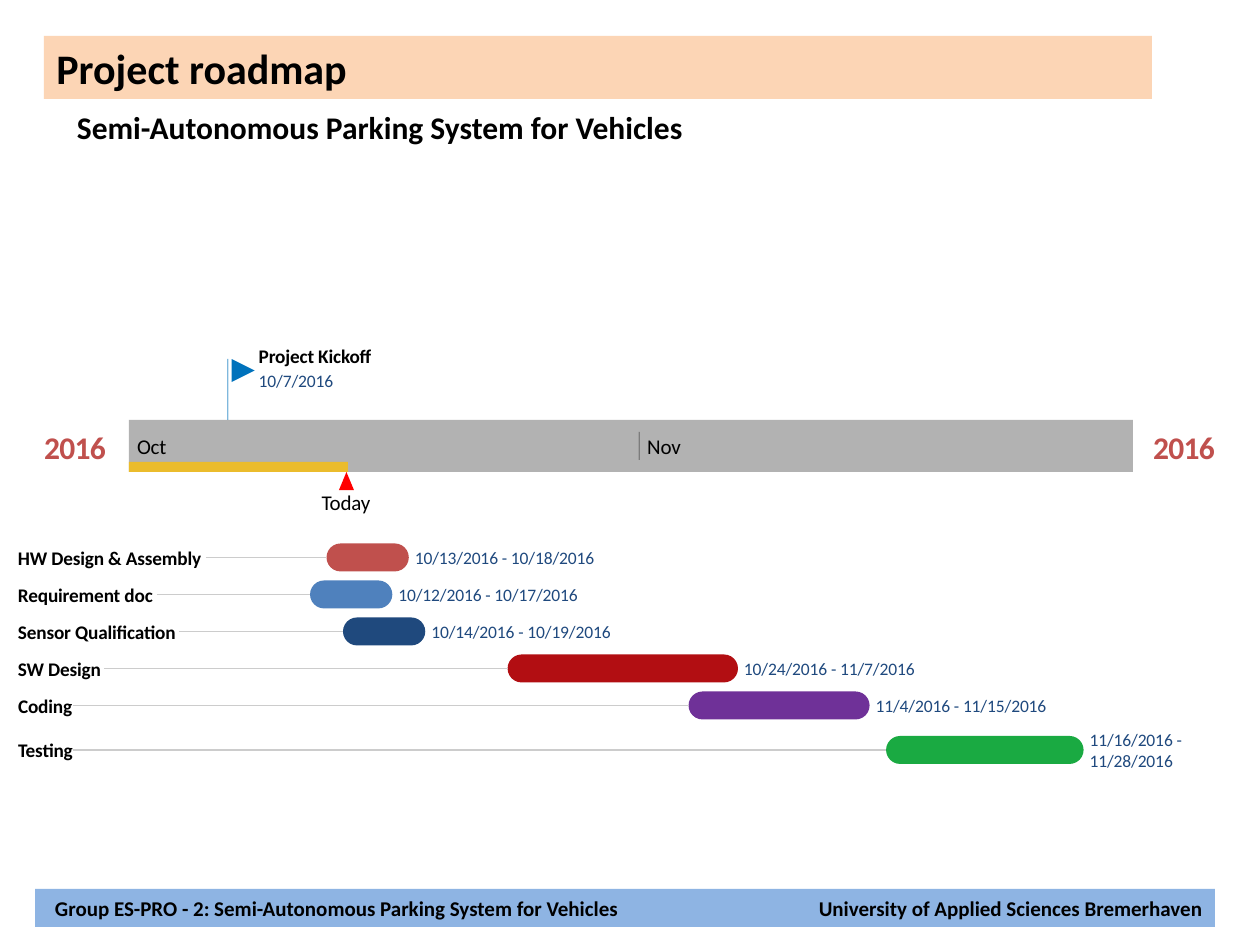
from dataclasses import dataclass
from pptx import Presentation
from pptx.dml.color import RGBColor
from pptx.enum.shapes import MSO_CONNECTOR, MSO_SHAPE
from pptx.enum.text import MSO_ANCHOR, PP_ALIGN
from pptx.oxml.ns import qn
from pptx.util import Emu, Pt
from lxml.etree import SubElement


@dataclass(frozen=True)
class Style:
    size: int
    color: str
    bold: bool = False
    tracking: int = 0


class Theme:
    font = "Calibri"
    title = Style(24, "000000", True)
    subtitle = Style(18, "000000", True)
    footer = Style(12, "000000", True)
    year = Style(18, "C0504D", True, -40)
    month = Style(12, "000000", tracking=-10)
    label = Style(11, "000000", True, -10)
    date = Style(10, "1F497E", tracking=-5)
    title_band, footer_band = "FCD5B5", "8EB4E3"
    axis, elapsed, today, flag = "B2B2B2", "FFC000", "FF0000", "0072BC"
    leader, tick = "CCCCCC", "000000"


TITLE = "Project roadmap"
SUBTITLE = "Semi-Autonomous Parking System for Vehicles"
GROUP = "Group ES-PRO - 2: Semi-Autonomous Parking System for Vehicles"
SCHOOL = "University of Applied Sciences Bremerhaven"
MONTHS = [("Oct", "10/1/2016"), ("Nov", "11/1/2016")]
KICKOFF = ("Project Kickoff", "10/7/2016")
TASKS = [
    ("HW Design & Assembly", 188, "10/13/2016", "10/18/2016", "C0504D", 1),
    ("Requirement doc", 139, "10/12/2016", "10/17/2016", "4F81BD", 1),
    ("Sensor Qualification", 161, "10/14/2016", "10/19/2016", "1F497D", 1),
    ("SW Design", 86, "10/24/2016", "11/7/2016", "B20E12", 1),
    ("Coding", 55, "11/4/2016", "11/15/2016", "6F3198", 1),
    ("Testing", 55, "11/16/2016", "11/28/2016", "1AAA42", 2),
]
MONTH_START = {10: 0, 11: 31}
TOTAL_DAYS = 61
AXIS_LEFT, AXIS_TOP, AXIS_WIDTH, AXIS_HEIGHT = 129, 420, 1004, 52
ELAPSED_WIDTH = 219
ROWS_TOP = 539
ROW_HEIGHT = {1: 37, 2: 52}
DATE_BOX = {1: (184, 22), 2: (98, 42)}
LABEL_LEFT, LABEL_HEIGHT, BAR_HEIGHT, GAP = 18, 24, 28, 6


def px(value):
    return Emu(round(value * 914400 / 126))


def day_x(date):
    month, day, _ = map(int, date.split("/"))
    return AXIS_LEFT + (MONTH_START[month] + day - 1) * AXIS_WIDTH / TOTAL_DAYS


def fade(item, percent):
    color = item._element.spPr.find(".//" + qn("a:srgbClr"))
    SubElement(color, qn("a:alpha")).set("val", str(percent * 1000))


def write(box, text, style, align=PP_ALIGN.LEFT):
    frame = box.text_frame
    frame.vertical_anchor = MSO_ANCHOR.MIDDLE
    para = frame.paragraphs[0]
    para.text = text
    para.alignment = align
    font = para.font
    font.name, font.size, font.bold = Theme.font, Pt(style.size), style.bold
    font.color.rgb = RGBColor.from_string(style.color)
    para._p.get_or_add_pPr().get_or_add_defRPr().set("spc", str(style.tracking))


def add_text(page, text, style, left, top, width, height,
             align=PP_ALIGN.LEFT, wrap=True, inset=(0, 0)):
    box = page.shapes.add_textbox(px(left), px(top), px(width), px(height))
    frame = box.text_frame
    frame.word_wrap = wrap
    frame.margin_left = frame.margin_right = px(inset[0])
    frame.margin_top = frame.margin_bottom = px(inset[1])
    write(box, text, style, align)
    return box


def add_block(page, kind, color, left, top, width, height):
    block = page.shapes.add_shape(kind, px(left), px(top), px(width), px(height))
    block.shadow.inherit = False
    block.fill.solid()
    block.fill.fore_color.rgb = RGBColor.from_string(color)
    block.line.fill.background()
    return block


def add_line(page, color, width, start=(0, 0), end=(0, 0)):
    line = page.shapes.add_connector(
        MSO_CONNECTOR.STRAIGHT, *map(px, (*start, *end)))
    line.line.color.rgb = RGBColor.from_string(color)
    line.line.width = Pt(width)
    SubElement(line._element.spPr, qn("a:effectLst"))
    return line


def add_axis(page):
    for left in (44, 1153):
        add_text(page, "2016", Theme.year, left, 427, 62, 39, PP_ALIGN.CENTER, False)
    add_block(page, MSO_SHAPE.RECTANGLE, Theme.axis,
              AXIS_LEFT, AXIS_TOP, AXIS_WIDTH, AXIS_HEIGHT)
    bottom = AXIS_TOP + AXIS_HEIGHT
    elapsed = add_block(page, MSO_SHAPE.RECTANGLE, Theme.elapsed,
                        AXIS_LEFT, bottom - 10, ELAPSED_WIDTH, 10)
    fade(elapsed, 75)
    today = AXIS_LEFT + ELAPSED_WIDTH - 1
    add_block(page, MSO_SHAPE.ISOSCELES_TRIANGLE, Theme.today, today - 8, bottom, 15, 18)
    add_text(page, "Today", Theme.month, today - 26, 490, 50, 25, PP_ALIGN.CENTER, False)
    for index, (name, first) in enumerate(MONTHS):
        left = day_x(first)
        if index:
            fade(add_line(page, Theme.tick, 0.75, (left, 432), (left, 460)), 30)
        add_text(page, name, Theme.month, left + 8, 434, 34, 25, wrap=False)


def add_kickoff(page):
    name, date = KICKOFF
    left = day_x(date)
    fade(add_line(page, Theme.flag, 0.6, (left, 359), (left, AXIS_TOP)), 50)
    flag = add_block(page, MSO_SHAPE.FLOWCHART_MERGE, Theme.flag, left + 4, 359, 23, 23)
    flag.rotation = 270
    add_text(page, name, Theme.label, left + 31, 344, 118, 24)
    add_text(page, date, Theme.date, left + 31, 369, 80, 22)


def add_tasks(page):
    top = ROWS_TOP
    for name, label_width, first, last, color, lines in TASKS:
        middle = top + ROW_HEIGHT[lines] / 2
        start, end = day_x(first), day_x(last)
        label = add_text(page, name, Theme.label, LABEL_LEFT,
                         middle - LABEL_HEIGHT / 2, label_width, LABEL_HEIGHT,
                         wrap=False)
        bar = add_block(page, MSO_SHAPE.ROUNDED_RECTANGLE, color, start,
                        middle - BAR_HEIGHT / 2, end - start, BAR_HEIGHT)
        bar.adjustments[0] = 0.5
        leader = add_line(page, Theme.leader, 0.6)
        leader.begin_connect(label, 3)
        leader.end_connect(bar, 1)
        width, height = DATE_BOX[lines]
        add_text(page, f"{first} - {last}", Theme.date, end + GAP,
                 middle - height / 2, width, height)
        top += ROW_HEIGHT[lines]


def main():
    deck = Presentation()
    deck.slide_width, deck.slide_height = px(1260), px(945)
    page = deck.slides.add_slide(deck.slide_layouts[6])
    add_axis(page)
    add_kickoff(page)
    add_tasks(page)
    title = add_block(page, MSO_SHAPE.RECTANGLE, Theme.title_band, 44, 36, 1108, 63)
    write(title, TITLE, Theme.title)
    add_text(page, SUBTITLE, Theme.subtitle, 64, 101, 717, 51, inset=(13, 6))
    footer = add_block(page, MSO_SHAPE.RECTANGLE, Theme.footer_band, 35, 889, 1180, 38)
    write(footer, SCHOOL, Theme.footer, PP_ALIGN.RIGHT)
    add_text(page, GROUP, Theme.footer, 42, 889, 640, 38, inset=(13, 6))
    deck.save("out.pptx")


if __name__ == "__main__":
    main()
